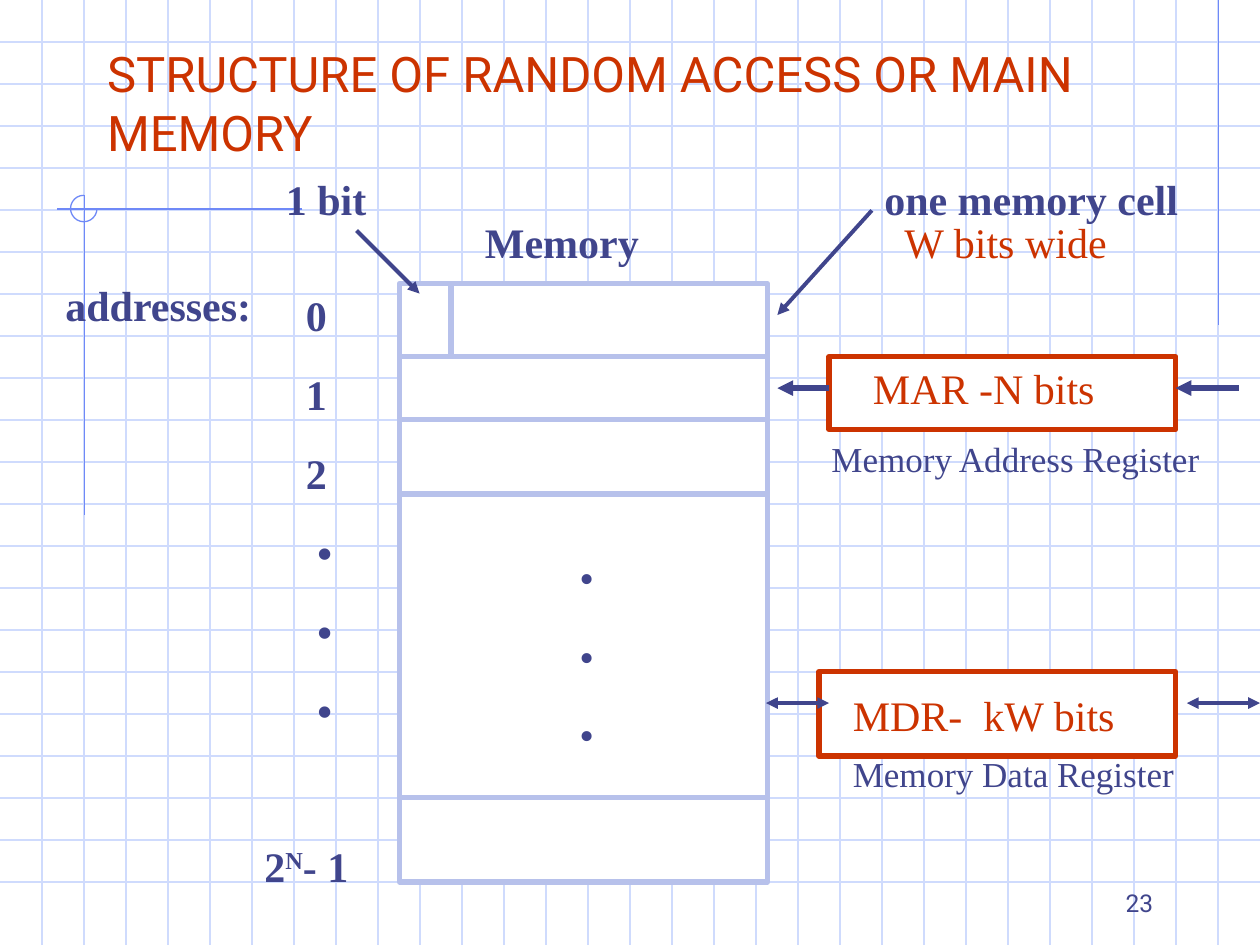
from lxml import etree
from pptx import Presentation
from pptx.dml.color import RGBColor
from pptx.enum import shapes, text
from pptx.oxml import ns
from pptx.util import Inches, Pt

INK = RGBColor(0x40, 0x45, 0x8C)
RED = RGBColor(0xCC, 0x33, 0x00)
FRAME = RGBColor(0xB7, 0xC1, 0xEB)
GRID = RGBColor(0xCF, 0xDB, 0xFD)
ACCENT = RGBColor(0x6F, 0x89, 0xF7)
WHITE = RGBColor(0xFF, 0xFF, 0xFF)
SERIF, SANS = "Times New Roman", "Roboto"

WIDTH, HEIGHT, STEP = 10, 7.5, 1 / 3
TITLE = "STRUCTURE OF RANDOM ACCESS OR MAIN MEMORY"
ACCENT_LINES = [(9.67, 0, 9.67, 2.58), (2.4, 1.66, 0.45, 1.66), (0.67, 1.55, 0.67, 4.09)]
MEMORY = (3.17, 2.25, 2.92, 4.75)
ROW_EDGES = [2.83, 3.33, 3.92, 6.33]
BIT_EDGE = 3.58
REGISTERS = [(6.58, 2.83, 2.75, 0.58), (6.5, 5.33, 2.83, 0.67)]

LABELS = [
    ("Memory", (3.75, 1.67, 1.75, 0.5), {"bold": True}),
    ("1 bit", (2.17, 1.33, 1, 0.5), {"bold": True}),
    ("addresses:", (0.42, 2.17, 1.75, 0.5), {"bold": True}),
    ("one memory cell", (6.92, 1.33, 2.53, 0.5), {"bold": True}),
    ("W bits wide", (7.08, 1.67, 1.92, 0.5), {"color": RED}),
    ("MAR -N bits", (6.83, 2.83, 2.42, 0.5), {"color": RED}),
    ("Memory Address Register", (6.5, 3.42, 3.25, 0.44), {"size": 20}),
    ("MDR-  kW bits", (6.67, 5.42, 2.42, 0.5), {"color": RED}),
    ("Memory Data Register", (6.67, 5.92, 3, 0.44), {"size": 20}),
]
ADDRESSES = [("0", 0.33, 0), ("1", 0.33, 16.3), ("2", 0.33, 16.3),
             ("•", 0.42, 16.3), ("•", 0.42, 16.3), ("•", 0.42, 16.3)]
DOTS = [("•", 0.42, 0), ("•", 0.42, 16.1), ("•", 0.42, 16.1)]
ARROWS = [
    ((2.83, 1.83, 3.33, 2.33), 2.25, False),
    ((6.92, 1.67, 6.17, 2.5), 2.25, False),
    ((6.58, 3.08, 6.17, 3.08), 3, False),
    ((9.83, 3.08, 9.33, 3.08), 3, False),
    ((6.08, 5.58, 6.58, 5.58), 2.25, True),
    ((9.42, 5.58, 10, 5.58), 2.25, True),
]

prs = Presentation()
prs.slide_width, prs.slide_height = Inches(WIDTH), Inches(HEIGHT)
s = prs.slides.add_slide(prs.slide_layouts[5])


def inches(values):
    return [Inches(v) for v in values]


def add_line(ends, color, width, heads=()):
    c = s.shapes.add_connector(shapes.MSO_CONNECTOR.STRAIGHT, *inches(ends))
    c.line.color.rgb, c.line.width = color, Pt(width)
    for head in heads:
        etree.SubElement(c.line._get_or_add_ln(), ns.qn("a:" + head), type="triangle")
    etree.SubElement(c._element.spPr, ns.qn("a:effectLst"))


def add_rect(box, color):
    sp = s.shapes.add_shape(shapes.MSO_SHAPE.RECTANGLE, *inches(box))
    sp.shadow.inherit = False
    sp.fill.solid()
    sp.fill.fore_color.rgb = WHITE
    sp.line.color.rgb, sp.line.width = color, Pt(3)


def add_run(p, words, color=INK, size=24, name=SERIF, bold=False):
    r = p.add_run()
    r.text = words
    r.font.color.rgb = color
    for key, value in {"size": Pt(size), "name": name, "bold": bold}.items():
        setattr(r.font, key, value)
    return r


def add_box(box):
    tf = s.shapes.add_textbox(*inches(box)).text_frame
    tf.word_wrap = True
    return tf


def add_list(tf, items, bold):
    for i, (words, indent, before) in enumerate(items):
        p = tf.add_paragraph() if i else tf.paragraphs[0]
        p._p.get_or_add_pPr().set("marL", str(Inches(indent)))
        if before:
            p.space_before = Pt(before)
        add_run(p, words, bold=bold)


for i in range(1, round(HEIGHT / STEP)):
    add_line((0, i * STEP, WIDTH, i * STEP), GRID, 0.75)
for i in range(1, round(WIDTH / STEP)):
    add_line((i * STEP, 0, i * STEP, HEIGHT), GRID, 0.75)
for ends in ACCENT_LINES:
    add_line(ends, ACCENT, 0.75)
arc = s.shapes.add_shape(shapes.MSO_SHAPE.ARC, *inches((0.56, 1.55, 0.21, 0.21)))
arc.shadow.inherit = False
arc.adjustments[0], arc.adjustments[1] = 0, 162
arc.fill.background()
arc.line.color.rgb, arc.line.width = ACCENT, Pt(0.75)

title = s.shapes.title
s.shapes._spTree.append(title._element)
title.left, title.top, title.width, title.height = inches((0.75, 0.25, 8.5, 1.08))
tf = title.text_frame
for key, value in {"word_wrap": True, "auto_size": text.MSO_AUTO_SIZE.NONE,
                   "vertical_anchor": text.MSO_ANCHOR.BOTTOM}.items():
    setattr(tf, key, value)
tf.paragraphs[0].alignment = text.PP_ALIGN.LEFT
add_run(tf.paragraphs[0], TITLE, RED, 28, SANS)

add_rect(MEMORY, FRAME)
left, top, width, _ = MEMORY
for y in ROW_EDGES:
    add_line((left, y, left + width, y), FRAME, 3)
add_line((BIT_EDGE, top, BIT_EDGE, ROW_EDGES[0]), FRAME, 3)
for box in REGISTERS:
    add_rect(box, RED)
for ends, weight, both in ARROWS:
    add_line(ends, INK, weight, ("headEnd", "tailEnd") if both else ("tailEnd",))

for words, box, style in LABELS:
    add_run(add_box(box).paragraphs[0], words, **style)

tf = add_box((2, 2.25, 1, 5.37))
add_list(tf, ADDRESSES, True)
p = tf.add_paragraph()
p.space_before = Pt(60.3)
add_run(p, "2", bold=True)
add_run(p, "N", bold=True).font._element.set("baseline", "30000")
add_run(p, "- 1", bold=True)
add_list(add_box((4.08, 4.33, 1.08, 1.72)), DOTS, False)

tf = add_box((7.17, 6.83, 2.08, 0.5))
tf.vertical_anchor = text.MSO_ANCHOR.BOTTOM
tf.paragraphs[0].alignment = text.PP_ALIGN.RIGHT
add_run(tf.paragraphs[0], "23", size=14, name=SANS)

prs.save("out.pptx")
